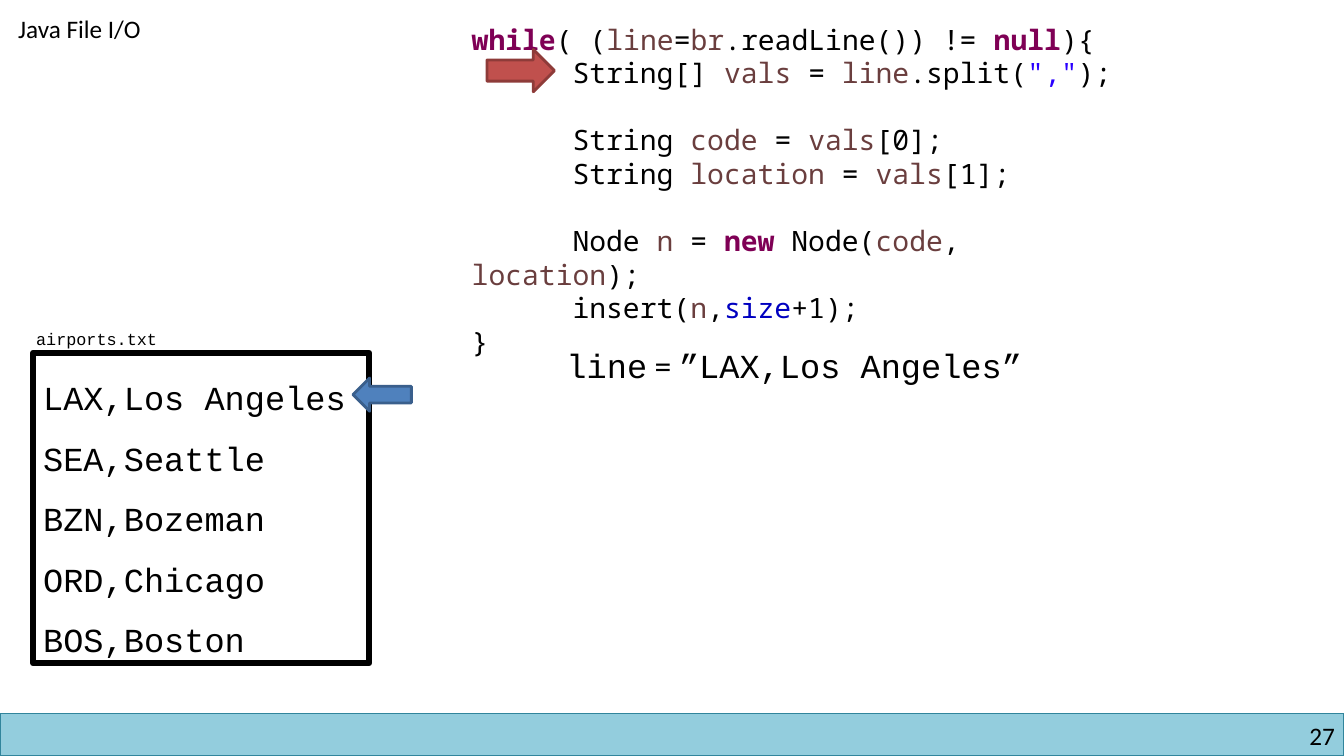
import lxml.etree
import pptx
import pptx.util
import pptx.dml.color
import pptx.enum.shapes
import pptx.enum.text
import pptx.oxml.ns

Inches = pptx.util.Inches
Pt = pptx.util.Pt
RGBColor = pptx.dml.color.RGBColor
MSO_SHAPE = pptx.enum.shapes.MSO_SHAPE
PP_ALIGN = pptx.enum.text.PP_ALIGN
MSO_ANCHOR = pptx.enum.text.MSO_ANCHOR
MSO_AUTO_SIZE = pptx.enum.text.MSO_AUTO_SIZE
qn = pptx.oxml.ns.qn

BLACK = RGBColor(0x00, 0x00, 0x00)
WHITE = RGBColor(0xFF, 0xFF, 0xFF)
BAND_FILL = RGBColor(0x93, 0xCD, 0xDD)
BAND_LINE = RGBColor(0x31, 0x85, 0x9C)
RED = RGBColor(0xC0, 0x50, 0x4D)
DARK_RED = RGBColor(0x8E, 0x3B, 0x39)
BLUE = RGBColor(0x4F, 0x81, 0xBD)
DARK_BLUE = RGBColor(0x3A, 0x5F, 0x8C)
KEYWORD = RGBColor(0x7F, 0x00, 0x55)
VARIABLE = RGBColor(0x6A, 0x3E, 0x3E)
STRING = RGBColor(0x2A, 0x00, 0xFF)
FIELD = RGBColor(0x00, 0x00, 0xC0)

BODY_FONT = "Calibri"
MONO_FONT = "Courier New"
CODE_FONT = "Noto Sans Mono"

TOKEN_COLOURS = {
    **dict.fromkeys(["while", "null", "new"], KEYWORD),
    **dict.fromkeys(["line", "br", "vals", "code", "location", "n"], VARIABLE),
    '","': STRING,
    "size": FIELD,
}
# Each group is set apart by one line; "|" separates the tokens
CODE_GROUPS = [
    ["while|( (|line|=|br|.readLine()) != |null|){",
     '\tString[] |vals| = |line|.split(|","|);'],
    ["\tString |code| = |vals|[0];",
     "\tString |location| = |vals|[1];"],
    ["\tNode |n| = |new| Node(|code|, |location|);",
     "\tinsert(|n|,|size|+1);",
     "}"],
]
AIRPORTS = ["LAX,Los Angeles", "SEA,Seattle", "BZN,Bozeman", "ORD,Chicago", "BOS,Boston"]


def style(paragraph, size, font_name, align=PP_ALIGN.LEFT):
    paragraph.alignment = align
    paragraph.font.size = Pt(size)
    paragraph.font.name = font_name
    paragraph.font.color.rgb = BLACK


def next_paragraph(frame, index):
    return frame.add_paragraph() if index else frame.paragraphs[0]


def add_tab_stop(paragraph, position):
    properties = paragraph._p.get_or_add_pPr()
    stops = lxml.etree.SubElement(properties, qn("a:tabLst"))
    lxml.etree.SubElement(stops, qn("a:tab"), pos=str(position), algn="l")


def add_text(slide, box, text, size, font_name, align=PP_ALIGN.LEFT, wrap=False):
    frame = slide.shapes.add_textbox(*map(Inches, box)).text_frame
    frame.word_wrap = wrap
    frame.text = text
    style(frame.paragraphs[0], size, font_name, align)
    return frame


def add_block(slide, kind, box, fill, line, width):
    block = slide.shapes.add_shape(kind, *map(Inches, box))
    block.shadow.inherit = False
    block.fill.solid()
    block.fill.fore_color.rgb = fill
    block.line.color.rgb = line
    block.line.width = Pt(width)
    return block


def add_footer(slide, box):
    left, top, width, height = box
    add_block(slide, MSO_SHAPE.RECTANGLE, box, BAND_FILL, BAND_LINE, 1)
    number = add_text(slide, (left + width - 3.16, top + 0.07, 3.07, 0.3), "27", 18,
                      BODY_FONT, PP_ALIGN.RIGHT, wrap=True)
    number.margin_left = number.margin_right = 0
    number.margin_top = number.margin_bottom = 0


def add_title(slide, box):
    title = slide.shapes.title
    title.left, title.top, title.width, title.height = map(Inches, box)
    frame = title.text_frame
    frame.text = "Java File I/O"
    frame.word_wrap = False
    frame.auto_size = MSO_AUTO_SIZE.NONE
    frame.vertical_anchor = MSO_ANCHOR.TOP
    style(frame.paragraphs[0], 18, BODY_FONT)


def add_airport_file(slide, box):
    left, top, width, height = box
    page = add_block(slide, MSO_SHAPE.RECTANGLE, box, WHITE, BLACK, 4.5)
    frame = page.text_frame
    frame.word_wrap = True
    frame.vertical_anchor = MSO_ANCHOR.MIDDLE
    for index, airport in enumerate(AIRPORTS):
        entry = next_paragraph(frame, index)
        entry.text = airport
        entry.line_spacing = 1.5
        style(entry, 24, MONO_FONT)
    add_text(slide, (left - 0.07, top - 0.29, 1.42, 0.3), "airports.txt", 12, MONO_FONT)
    # Marker for the line being read
    reader = add_block(slide, MSO_SHAPE.RIGHT_ARROW,
                       (left + width - 0.16, top + 0.25, 0.58, 0.33), BLUE, DARK_BLUE, 2)
    reader.rotation = 180


def add_code(slide, box):
    left, top, width, height = box
    frame = slide.shapes.add_textbox(*map(Inches, box)).text_frame
    frame.word_wrap = True
    count = 0
    for group in CODE_GROUPS:
        for position, code_line in enumerate(group):
            statement = next_paragraph(frame, count)
            add_tab_stop(statement, Inches(1))
            style(statement, 20, CODE_FONT)
            if count and position == 0:
                statement.space_before = Pt(24)
            for token in code_line.split("|"):
                run = statement.add_run()
                run.text = token
                colour = TOKEN_COLOURS.get(token, BLACK)
                run.font.color.rgb = colour
                if colour == KEYWORD:
                    run.font.bold = True
            count += 1
    # Marker for the statement being run
    add_block(slide, MSO_SHAPE.RIGHT_ARROW, (left + 0.25, top + 0.32, 0.67, 0.42),
              RED, DARK_RED, 2)


def add_line_value(slide, box):
    frame = slide.shapes.add_textbox(*map(Inches, box)).text_frame
    frame.word_wrap = False
    value = frame.paragraphs[0]
    style(value, 24, MONO_FONT)
    for text, font_name in [("line", MONO_FONT), (" = ", BODY_FONT),
                            ("”LAX,Los Angeles”", MONO_FONT)]:
        run = value.add_run()
        run.text = text
        run.font.name = font_name


def main():
    deck = pptx.Presentation()
    deck.slide_width = Inches(13.33)
    deck.slide_height = Inches(7.5)
    slide = deck.slides.add_slide(deck.slide_layouts[5])
    add_footer(slide, (0, 7.08, 13.33, 0.42))
    add_title(slide, (0.08, 0.08, 1.62, 0.4))
    add_airport_file(slide, (0.33, 3.5, 3.33, 3.08))
    add_code(slide, (4.58, 0.17, 6.69, 3.13))
    add_line_value(slide, (5.52, 3.37, 4.82, 0.5))
    deck.save("out.pptx")


if __name__ == "__main__":
    main()
